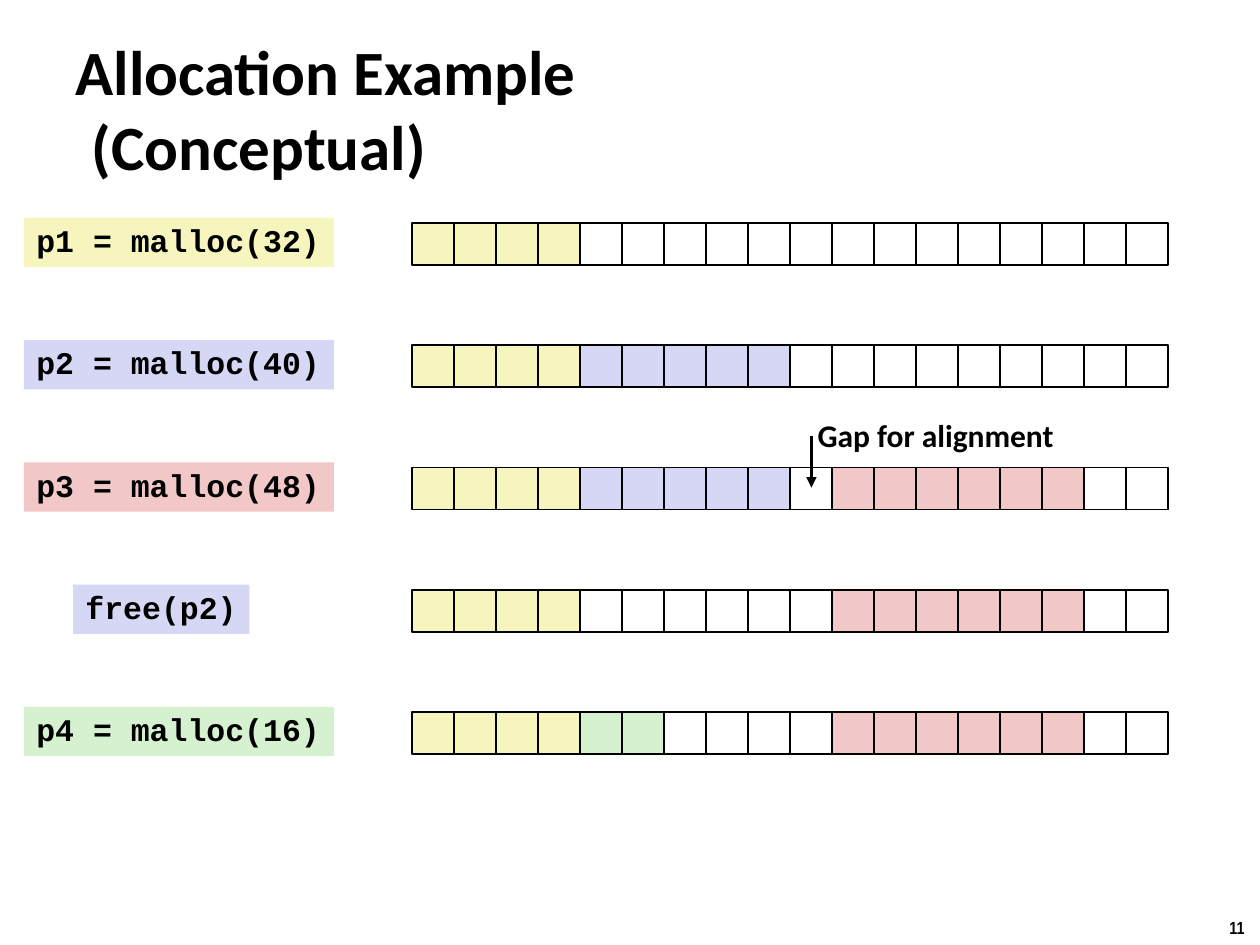
"""Build the conceptual memory allocation example slide."""
from lxml import etree
from pptx import Presentation
from pptx.dml.color import RGBColor
from pptx.enum.shapes import MSO_CONNECTOR, MSO_SHAPE
from pptx.enum.text import MSO_ANCHOR, MSO_AUTO_SIZE, PP_ALIGN
from pptx.oxml.ns import qn
from pptx.util import Inches, Pt

RECT = MSO_SHAPE.RECTANGLE
STRAIGHT = MSO_CONNECTOR.STRAIGHT
LEFT = PP_ALIGN.LEFT
MIDDLE, TOP = MSO_ANCHOR.MIDDLE, MSO_ANCHOR.TOP
NO_FIT, GROW = MSO_AUTO_SIZE.NONE, MSO_AUTO_SIZE.SHAPE_TO_FIT_TEXT

TITLE = "Allocation Example\v(Conceptual)"
BLACK = "000000"
COLORS = {"1": "F6F5BD", "2": "D6D6F5", "3": "F1C7C7", "4": "D5F1CF", ".": "FFFFFF"}
GAP = "-"
ROWS = [
    ("p1 = malloc(32)", "1", 0.19, 2.46, "1111.............."),
    ("p2 = malloc(40)", "2", 0.19, 2.46, "111122222........."),
    ("p3 = malloc(48)", "3", 0.19, 2.46, "111122222-333333.."),
    ("free(p2)", "2", 0.58, 1.4, "1111.....-333333.."),
    ("p4 = malloc(16)", "4", 0.19, 2.46, "111144...-333333.."),
]
TEXTS = [
    ("Gap for alignment", (6.39, 3.25, 2.09, 0.4), 18, "Calibri"),
    ("11", (9.66, 7.23, 0.34, 0.27), 10, "Arial Narrow"),
]
LABEL_TOP, CELL_TOP, ROW_STEP = 1.73, 1.77, 0.97
CELL_LEFT, CELL = 3.27, 1 / 3
ARROW_X, ARROW_TOP, ARROW_BOTTOM = 6.44, 3.46, 3.87


def rgb(value):
    return RGBColor.from_string(value)


def set_text(shape, text, size, font, wrap=False, anchor=TOP, fit=GROW):
    tf = shape.text_frame
    tf.text = text
    tf.word_wrap = wrap
    tf.vertical_anchor = anchor
    tf.auto_size = fit
    p = tf.paragraphs[0]
    p.alignment = LEFT
    for r in p.runs:
        r.font.size, r.font.name, r.font.bold = Pt(size), font, True
        r.font.color.rgb = rgb(BLACK)
    return p


def add_rect(shapes, left, top, width, height, fill=None, outlined=False):
    shape = shapes.add_shape(RECT, Inches(left), Inches(top), Inches(width), Inches(height))
    shape.shadow.inherit = False
    if fill:
        shape.fill.solid()
        shape.fill.fore_color.rgb = rgb(fill)
    else:
        shape.fill.background()
    if outlined:
        shape.line.color.rgb = rgb(BLACK)
        shape.line.width = Pt(1)
    else:
        shape.line.fill.background()
    return shape


def add_title(s):
    title = s.shapes.title
    title.left, title.top = Inches(0.5), Inches(0.54)
    title.width, title.height = Inches(7.07), Inches(0.63)
    p = set_text(title, TITLE, 36, "Calibri", True, MIDDLE, NO_FIT)
    pPr = p._p.get_or_add_pPr()
    pPr.set("marL", str(Inches(0.13)))
    pPr.set("indent", str(-Inches(0.13)))


def add_row(s, index, label, key, left, width, cells):
    offset = index * ROW_STEP
    box = add_rect(s.shapes, left, LABEL_TOP + offset, width, 0.39, COLORS[key])
    set_text(box, label, 18, "Courier New").line_spacing = 0.94
    group = s.shapes.add_group_shape()
    for col, cell in enumerate(cells):
        fill = None if cell == GAP else COLORS[cell]
        add_rect(group.shapes, CELL_LEFT + col * CELL, CELL_TOP + offset, CELL, CELL, fill, True)


def add_arrow(s):
    arrow = s.shapes.add_connector(
        STRAIGHT, Inches(ARROW_X), Inches(ARROW_TOP), Inches(ARROW_X), Inches(ARROW_BOTTOM))
    arrow.line.color.rgb = rgb(BLACK)
    arrow.line.width = Pt(2)
    etree.SubElement(arrow.line._get_or_add_ln(), qn("a:tailEnd"), type="triangle")
    etree.SubElement(arrow._element.spPr, qn("a:effectLst"))


def main():
    prs = Presentation()
    prs.slide_width, prs.slide_height = Inches(10), Inches(7.5)
    s = prs.slides.add_slide(prs.slide_layouts[5])
    add_title(s)
    for index, row in enumerate(ROWS):
        add_row(s, index, *row)
    add_arrow(s)
    for text, place, size, font in TEXTS:
        set_text(s.shapes.add_textbox(*map(Inches, place)), text, size, font)
    prs.save("out.pptx")


if __name__ == "__main__":
    main()
